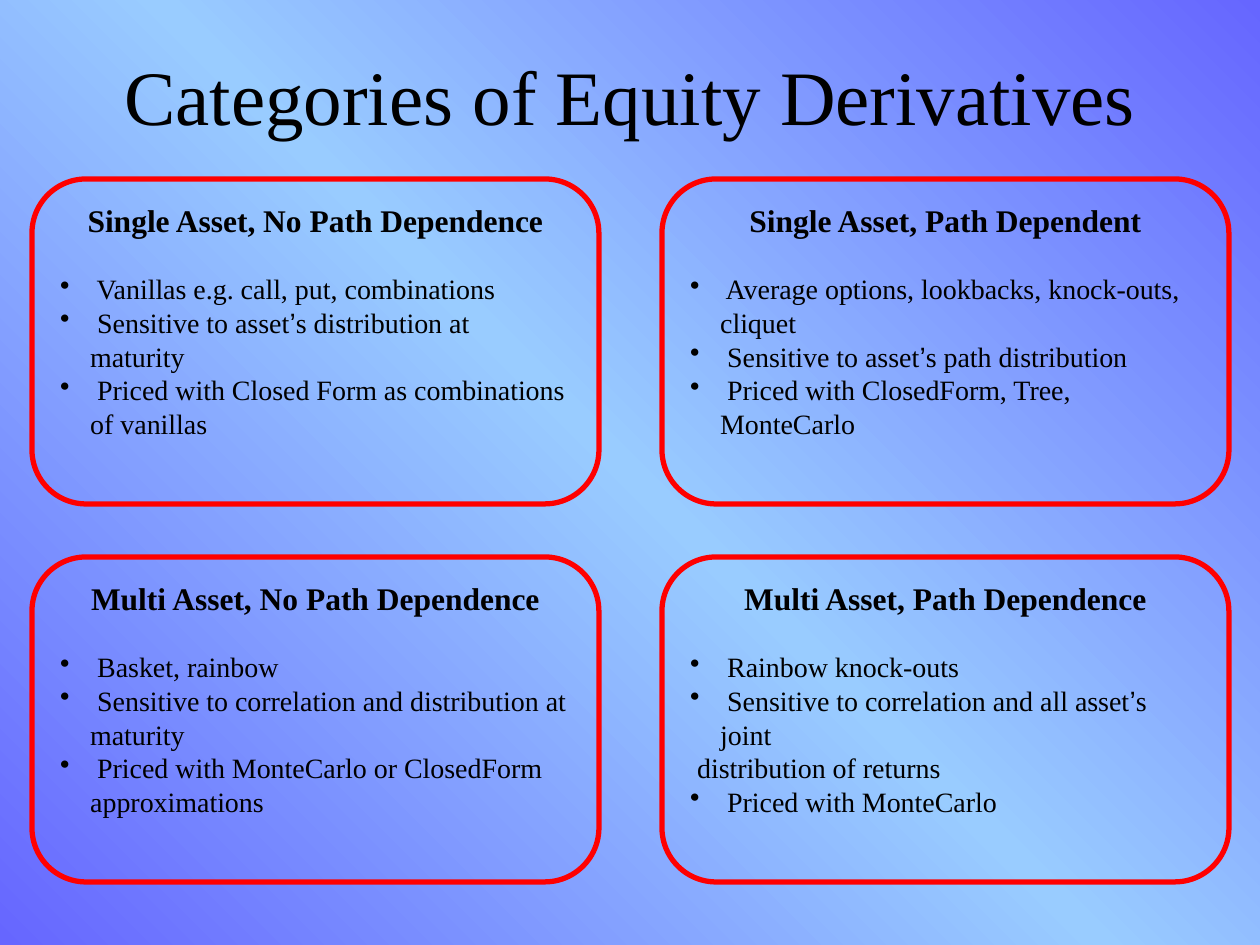
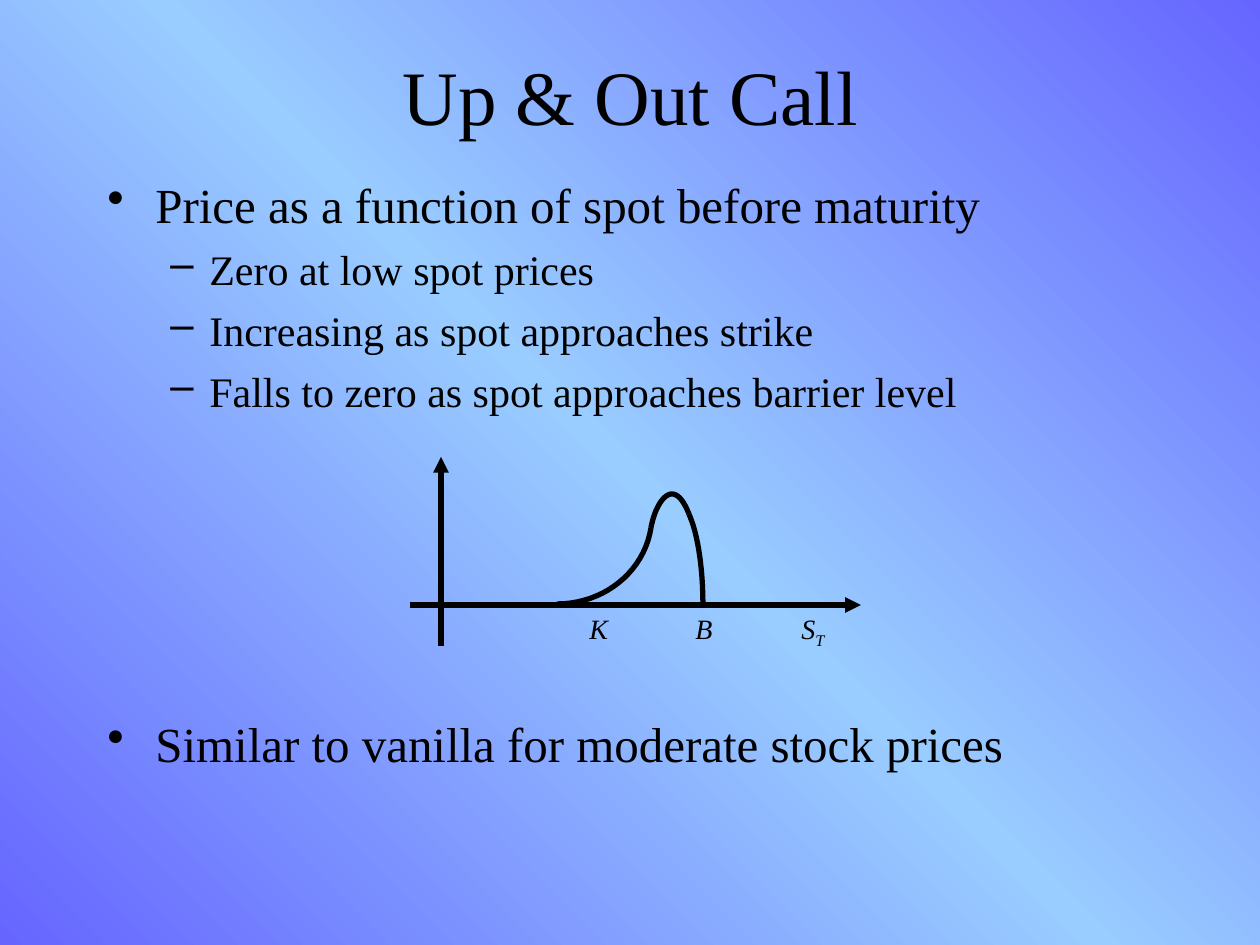
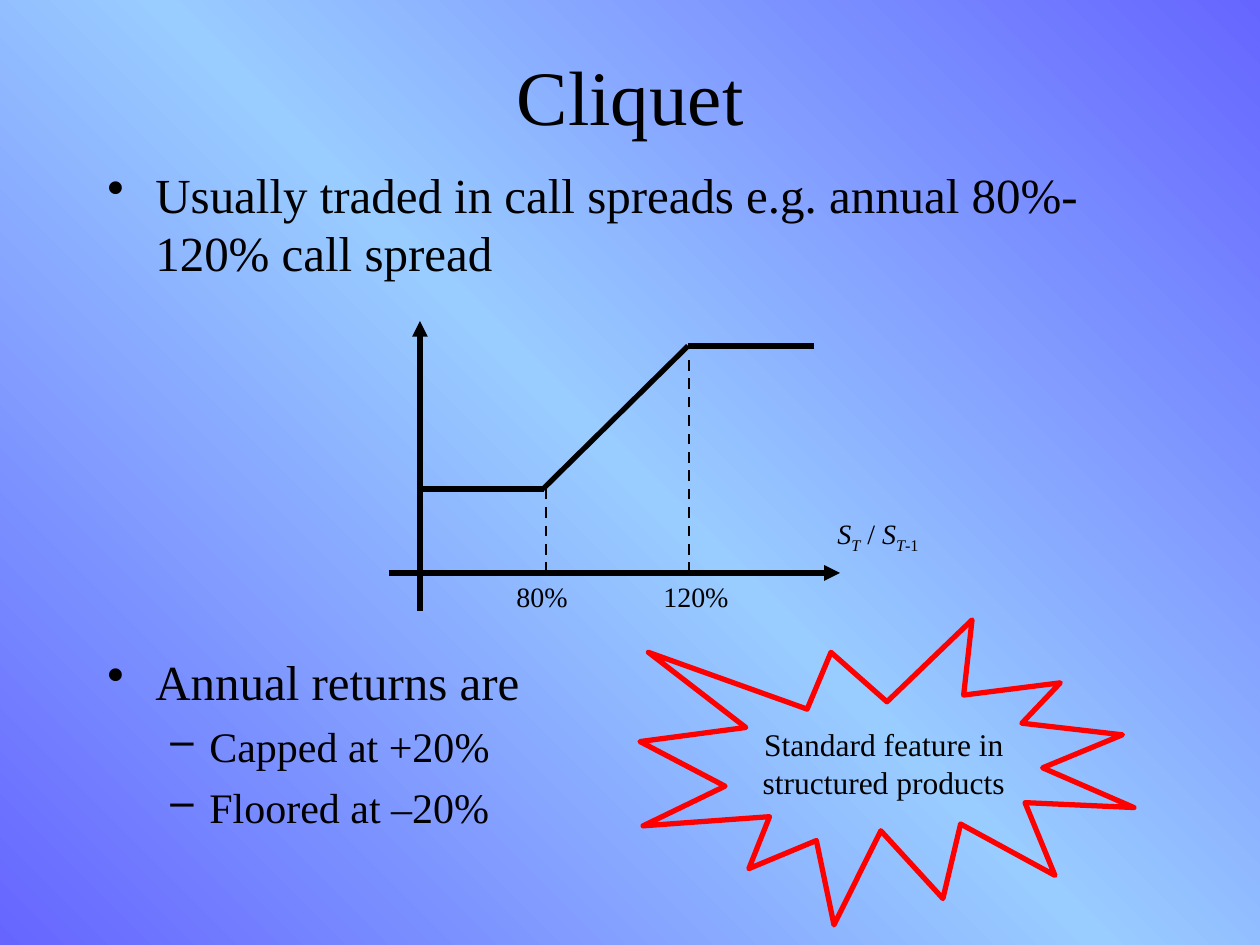
from copy import deepcopy

from lxml.etree import SubElement
from pptx import Presentation
from pptx.dml.color import RGBColor
from pptx.enum.dml import MSO_LINE
from pptx.enum.shapes import MSO_CONNECTOR, MSO_SHAPE
from pptx.enum.text import MSO_ANCHOR, MSO_AUTO_SIZE, PP_ALIGN
from pptx.oxml.ns import qn
from pptx.util import Pt

EMU_PER_PX = 914400 / 126
BLACK, RED, DEEP_BLUE, SKY_BLUE = "000000", "FF0000", "6666FF", "99CCFF"
SERIF, SANS = "Times New Roman", "Arial"
LEVELS = [("•", 48, 48, 28, 7), ("–", 102, 39, 24, 6)]


def emu(px):
    """Convert pixels to EMU."""
    return round(px * EMU_PER_PX)


def color(hex_string):
    """Turn a hex string into a colour."""
    return RGBColor.from_string(hex_string)


def bezier(start, control_one, control_two, end, steps=20):
    """Return points along a cubic curve."""
    points = []
    for step in range(steps + 1):
        t = step / steps
        weights = [(1 - t) ** 3, 3 * t * (1 - t) ** 2, 3 * t * t * (1 - t), t ** 3]
        corners = zip(start, control_one, control_two, end)
        points.append(tuple(sum(w * c for w, c in zip(weights, axis)) for axis in corners))
    return points


class Deck:
    """Hold the shared style and the current slide."""

    def __init__(self):
        """Start a presentation with the shared gradient background."""
        self.presentation = Presentation()
        self.presentation.slide_width = emu(1260)
        self.presentation.slide_height = emu(945)
        self.slide = None
        master = self.presentation.slide_master
        fill = master.background.fill
        fill.gradient()
        fill.gradient_angle = 225
        stops = master.element.xpath("p:cSld/p:bg//a:gsLst")[0]
        stops.insert(1, deepcopy(stops[0]))
        colors = (DEEP_BLUE, SKY_BLUE, DEEP_BLUE)
        for stop, position, hex_string in zip(fill.gradient_stops, (0, 0.5, 1), colors):
            stop.position = position
            stop.color.rgb = color(hex_string)

    def add_slide(self, title):
        """Add a blank slide with a centred title."""
        self.slide = self.presentation.slides.add_slide(self.presentation.slide_layouts[6])
        text_frame = self.text_box(95, 32, 1071, 126)
        text_frame.vertical_anchor = MSO_ANCHOR.MIDDLE
        text_frame.paragraphs[0].alignment = PP_ALIGN.CENTER
        self.add_text(text_frame.paragraphs[0], title, 44)

    def text_box(self, left, top, width, height):
        """Add a wrapping text box and return its text frame."""
        shape = self.slide.shapes.add_textbox(*map(emu, (left, top, width, height)))
        shape.text_frame.word_wrap = True
        return shape.text_frame

    def add_text(self, paragraph, text, size, bold=False, italic=False, subscript=False):
        """Append styled text, with apostrophes in the sans font."""
        for part in filter(None, text.partition("’")):
            run = paragraph.add_run()
            run.text = part
            run.font.name = SANS if part == "’" else SERIF
            run.font.size = Pt(size)
            run.font.bold = bold
            run.font.italic = italic
            run.font.color.rgb = color(BLACK)
            if subscript:
                run.font._element.set("baseline", "-25000")

    def bullet(self, paragraph, character, margin, hanging):
        """Give a paragraph a hanging bullet."""
        properties = paragraph._p.get_or_add_pPr()
        properties.set("marL", str(emu(margin)))
        properties.set("indent", str(-emu(hanging)))
        SubElement(properties, qn("a:buChar")).set("char", character)

    def body(self, top, height, items):
        """Add a bulleted list of (level, text, extra space before)."""
        text_frame = self.text_box(95, top, 1071, height)
        for index, (level, text, gap) in enumerate(items):
            character, margin, hanging, size, space = LEVELS[level]
            paragraph = text_frame.add_paragraph() if index else text_frame.paragraphs[0]
            self.bullet(paragraph, character, margin, hanging)
            if index:
                paragraph.space_before = Pt(space + gap)
            self.add_text(paragraph, text, size)

    def outline(self, preset, left, top, width, height, heading, bold=False):
        """Add an unfilled red shape with a heading and return its text frame."""
        shape = self.slide.shapes.add_shape(preset, *map(emu, (left, top, width, height)))
        shape.shadow.inherit = False
        shape.fill.background()
        shape.line.color.rgb = color(RED)
        shape.line.width = Pt(3)
        text_frame = shape.text_frame
        text_frame.word_wrap = True
        text_frame.vertical_anchor = MSO_ANCHOR.MIDDLE
        text_frame.paragraphs[0].alignment = PP_ALIGN.CENTER
        self.add_text(text_frame.paragraphs[0], heading, 18, bold)
        return text_frame

    def category(self, left, top, heading, items):
        """Add a rounded box with a heading and bullets."""
        text_frame = self.outline(
            MSO_SHAPE.ROUNDED_RECTANGLE, left, top, 567, 325, heading, bold=True)
        text_frame.vertical_anchor = MSO_ANCHOR.TOP
        for index, (bulleted, text) in enumerate(items):
            paragraph = text_frame.add_paragraph()
            paragraph.alignment = PP_ALIGN.LEFT
            if bulleted:
                self.bullet(paragraph, "•", 30, 30)
            if index == 0:
                paragraph.space_before = Pt(19)
            self.add_text(paragraph, text, 16)

    def label(self, left, top, width, height, *runs):
        """Add a one-line label of (text, italic, subscript) runs."""
        text_frame = self.text_box(left, top, width, height)
        text_frame.word_wrap = False
        text_frame.auto_size = MSO_AUTO_SIZE.SHAPE_TO_FIT_TEXT
        for text, italic, subscript in runs:
            self.add_text(text_frame.paragraphs[0], text, 16, italic=italic, subscript=subscript)

    def line(self, start, end, arrow=False, dashed=False):
        """Add a straight black line."""
        connector = self.slide.shapes.add_connector(
            MSO_CONNECTOR.STRAIGHT, *map(emu, (*start, *end)))
        connector.line.color.rgb = color(BLACK)
        connector.line.width = Pt(1.5 if dashed else 3)
        if dashed:
            connector.line.dash_style = MSO_LINE.DASH
        if arrow:
            SubElement(connector.get_or_add_ln(), qn("a:tailEnd")).set("type", "triangle")
        SubElement(connector.element.spPr, qn("a:effectLst"))

    def curve(self, points):
        """Add an open black outline through the points."""
        start, *rest = [(emu(x), emu(y)) for x, y in points]
        builder = self.slide.shapes.build_freeform(*start)
        builder.add_line_segments(rest, close=False)
        shape = builder.convert_to_shape()
        shape.shadow.inherit = False
        shape.fill.background()
        shape.line.color.rgb = color(BLACK)
        shape.line.width = Pt(3)


def add_categories(deck):
    """Build the two-by-two grid of derivative categories."""
    deck.add_slide("Categories of Equity Derivatives")
    categories = [
        ("Single Asset, No Path Dependence", [
            (True, " Vanillas e.g. call, put, combinations"),
            (True, " Sensitive to asset’s distribution at maturity"),
            (True, " Priced with Closed Form as combinations of vanillas")]),
        ("Single Asset, Path Dependent", [
            (True, " Average options, lookbacks, knock-outs, cliquet"),
            (True, " Sensitive to asset’s path distribution"),
            (True, " Priced with ClosedForm, Tree, MonteCarlo")]),
        ("Multi Asset, No Path Dependence", [
            (True, " Basket, rainbow"),
            (True, " Sensitive to correlation and distribution at maturity"),
            (True, " Priced with MonteCarlo or ClosedForm approximations")]),
        ("Multi Asset, Path Dependence", [
            (True, " Rainbow knock-outs"),
            (True, " Sensitive to correlation and all asset’s joint"),
            (False, " distribution of returns"),
            (True, " Priced with MonteCarlo")]),
    ]
    for index, (heading, items) in enumerate(categories):
        row, column = divmod(index, 2)
        deck.category(32 + 630 * column, 179 + 378 * row, heading, items)


def add_up_and_out_call(deck):
    """Build the barrier option slide with its price curve."""
    deck.add_slide("Up & Out Call")
    deck.body(168, 725, [
        (0, "Price as a function of spot before maturity", 0),
        (1, "Zero at low spot prices", 0),
        (1, "Increasing as spot approaches strike", 0),
        (1, "Falls to zero as spot approaches barrier level", 0),
        (0, "Similar to vanilla for moderate stock prices", 163)])
    deck.line((441, 646), (441, 457), arrow=True)
    deck.line((410, 605), (861, 605), arrow=True)
    deck.label(577, 605, 44, 47, ("K", True, False))
    deck.label(683, 605, 42, 47, ("B", True, False))
    deck.label(789, 605, 48, 52, ("S", True, False), ("T", True, True))
    rise = bezier((557, 604), (604, 604), (644, 572), (651, 528))
    peak = (bezier((651, 528), (655, 507), (664, 494), (672, 494))
            + bezier((672, 494), (678, 494), (684, 501), (689, 514)))
    fall = bezier((689, 514), (698, 534), (703, 568), (703, 605))
    for points in (rise, peak, fall):
        deck.curve(points)


def add_cliquet(deck):
    """Build the cliquet slide with its call spread payoff."""
    deck.add_slide("Cliquet")
    deck.body(158, 746, [
        (0, "Usually traded in call spreads e.g. annual 80%-120% call spread", 0),
        (0, "Annual returns are", 204),
        (1, "Capped at +20%", 0),
        (1, "Floored at –20%", 0)])
    deck.line((420, 611), (420, 321), arrow=True)
    deck.line((389, 573), (840, 573), arrow=True)
    deck.line((543, 489), (688, 346))
    deck.line((544, 489), (419, 489))
    deck.line((688, 346), (814, 346))
    deck.line((546, 573), (546, 489), dashed=True)
    deck.line((689, 573), (689, 353), dashed=True)
    deck.label(825, 510, 106, 52, ("S", True, False), ("T", True, True),
               (" / ", False, False), ("S", True, False), ("T", True, True),
               ("-1", False, True))
    deck.label(651, 573, 90, 47, ("120%", False, False))
    deck.label(504, 573, 76, 47, ("80%", False, False))
    deck.outline(MSO_SHAPE.EXPLOSION1, 640, 620, 494, 305,
                 "Standard feature in structured products")


def main():
    """Build and save the presentation."""
    deck = Deck()
    add_categories(deck)
    add_up_and_out_call(deck)
    add_cliquet(deck)
    deck.presentation.save("out.pptx")


if __name__ == "__main__":
    main()
